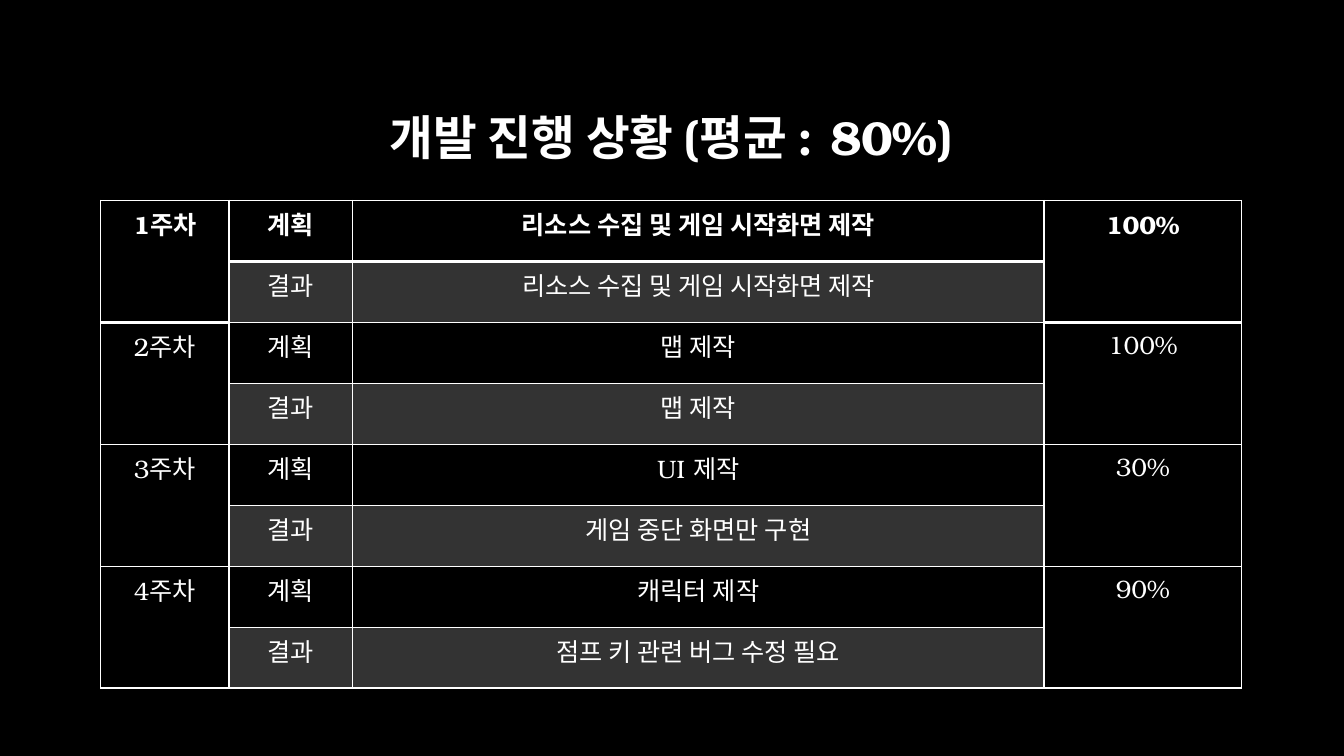
from dataclasses import dataclass

import pptx
import pptx.dml.color
import pptx.enum.text
import pptx.oxml
import pptx.oxml.ns
import pptx.table
import pptx.text.text
import pptx.util
from pptx.util import Cm

FONT = "TeX Gyre Bonum"
WHITE = "FFFFFF"
BLACK = "000000"
LEFT, WIDTH = Cm(2.54), Cm(28.75)
COLUMN_WIDTHS = (Cm(3.23), Cm(3.12), Cm(17.42), Cm(4.98))
TABLE_TOP, TABLE_HEIGHT = Cm(5.05), Cm(12.29)
WEEK, KIND, TASK, RATE = range(4)
MERGED_COLUMNS = (WEEK, RATE)


@dataclass(frozen=True)
class Week:
    name: str
    plan: str
    result: str
    rate: str


WEEKS = (
    Week("1주차", "리소스 수집 및 게임 시작화면 제작", "리소스 수집 및 게임 시작화면 제작", "100%"),
    Week("2주차", "맵 제작", "맵 제작", "100%"),
    Week("3주차", "UI 제작", "게임 중단 화면만 구현", "30%"),
    Week("4주차", "캐릭터 제작", "점프 키 관련 버그 수정 필요", "90%"),
)


def color(value: str) -> pptx.dml.color.RGBColor:
    return pptx.dml.color.RGBColor.from_string(value)


def write(frame: pptx.text.text.TextFrame, text: str, size: float, bold: bool) -> None:
    frame.text = text
    para = frame.paragraphs[0]
    para.alignment = pptx.enum.text.PP_ALIGN.CENTER
    for span in para.runs:
        span.font.name = FONT
        span.font.size = pptx.util.Pt(size)
        span.font.bold = bold
        span.font.color.rgb = color(WHITE)


def set_borders(cell: pptx.table._Cell, top: float, bottom: float) -> None:
    """Draw white borders, with the given top and bottom widths in points."""
    properties = cell._tc.get_or_add_tcPr()
    for side, width in (("L", 1), ("R", 1), ("T", top), ("B", bottom)):
        properties.append(pptx.oxml.parse_xml(
            f'<a:ln{side} {pptx.oxml.ns.nsdecls("a")} w="{pptx.util.Pt(width)}">'
            f'<a:solidFill><a:srgbClr val="{WHITE}"/></a:solidFill></a:ln{side}>'))


def fill_cell(cell: pptx.table._Cell, shaded: bool) -> None:
    """Leave the cell clear, or tint it with 20% white."""
    if not shaded:
        cell.fill.background()
        return
    cell.fill.solid()
    cell.fill.fore_color.rgb = color(WHITE)
    tint = cell._tc.tcPr.find(pptx.oxml.ns.qn("a:solidFill"))[0]
    tint.append(pptx.oxml.parse_xml(
        f'<a:alpha {pptx.oxml.ns.nsdecls("a")} val="20000"/>'))


def style_cells(table: pptx.table.Table) -> None:
    """Set borders and fills, with a thick line below the header cells."""
    for row in range(len(table.rows)):
        for column in range(len(COLUMN_WIDTHS)):
            merged = column in MERGED_COLUMNS
            below_header = 2 if merged else 1
            cell = table.cell(row, column)
            set_borders(cell, 2 if row == below_header else 1,
                        2 if row in (0, below_header - 1) else 1)
            fill_cell(cell, row % 2 == 1 and not merged)


def add_progress_table(page: pptx.slide.Slide) -> None:
    row_count = 2 * len(WEEKS)
    table = page.shapes.add_table(row_count, len(COLUMN_WIDTHS), LEFT, TABLE_TOP,
                                  WIDTH, TABLE_HEIGHT).table
    table.horz_banding = False
    table.first_row = False
    for column, width in zip(table.columns, COLUMN_WIDTHS):
        column.width = width
    for row in table.rows:
        row.height = TABLE_HEIGHT // row_count
    style_cells(table)
    for index, week in enumerate(WEEKS):
        top = 2 * index
        for column in MERGED_COLUMNS:
            table.cell(top, column).merge(table.cell(top + 1, column))
        entries = ((top, WEEK, week.name), (top, KIND, "계획"), (top, TASK, week.plan),
                   (top, RATE, week.rate), (top + 1, KIND, "결과"),
                   (top + 1, TASK, week.result))
        for row, column, text in entries:
            write(table.cell(row, column).text_frame, text, 18, row == 0)


def add_title(page: pptx.slide.Slide) -> None:
    box = page.shapes.add_textbox(LEFT, Cm(1.7), WIDTH, Cm(3.68))
    frame = box.text_frame
    frame.word_wrap = True
    frame.vertical_anchor = pptx.enum.text.MSO_ANCHOR.MIDDLE
    write(frame, "개발 진행 상황 (평균 : 80%)", 34, True)
    frame.paragraphs[0].line_spacing = 0.9


def main() -> None:
    deck = pptx.Presentation()
    deck.slide_width, deck.slide_height = Cm(33.87), Cm(19.05)
    page = deck.slides.add_slide(deck.slide_layouts[6])
    page.background.fill.solid()
    page.background.fill.fore_color.rgb = color(BLACK)
    add_title(page)
    add_progress_table(page)
    deck.save("out.pptx")


if __name__ == "__main__":
    main()
